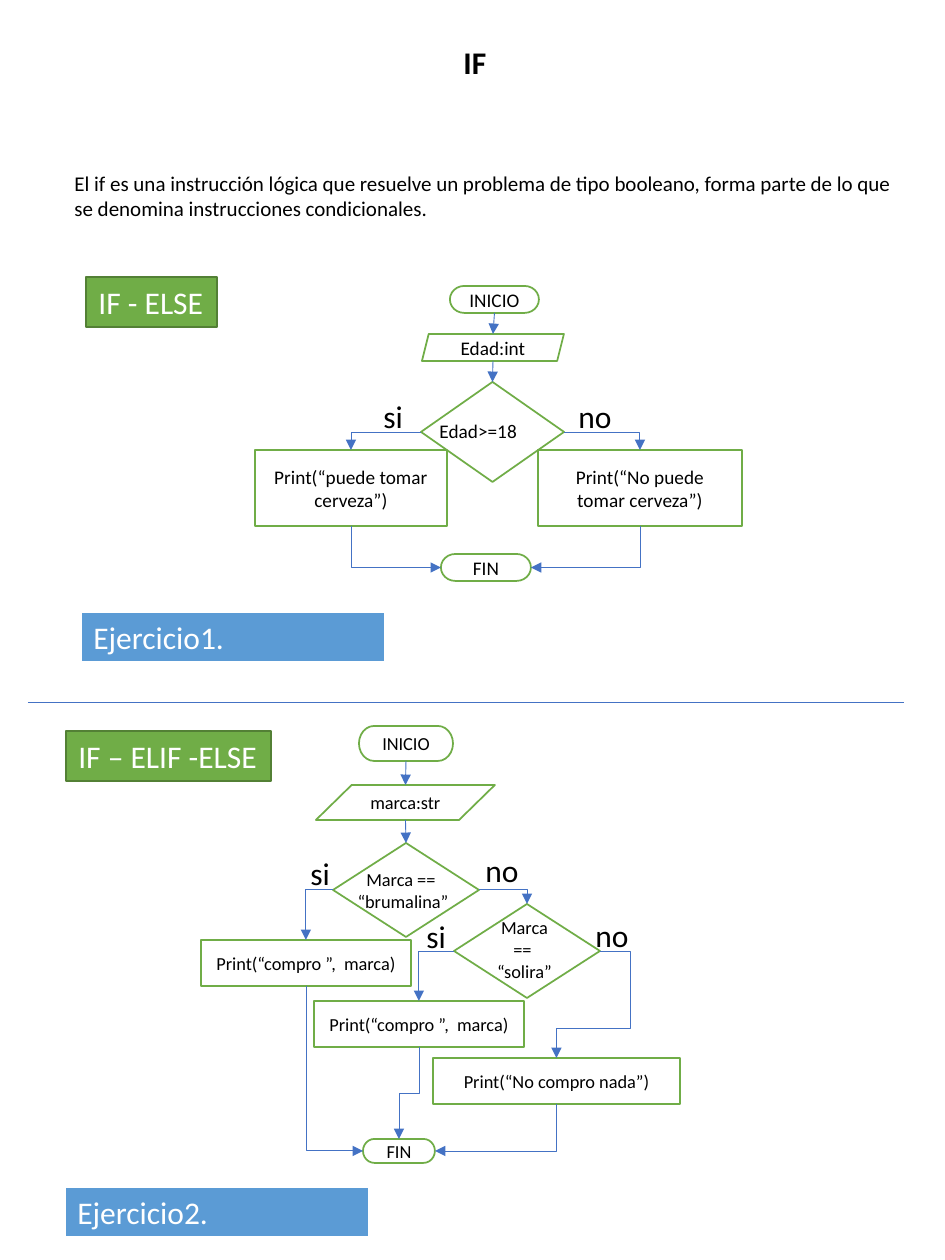
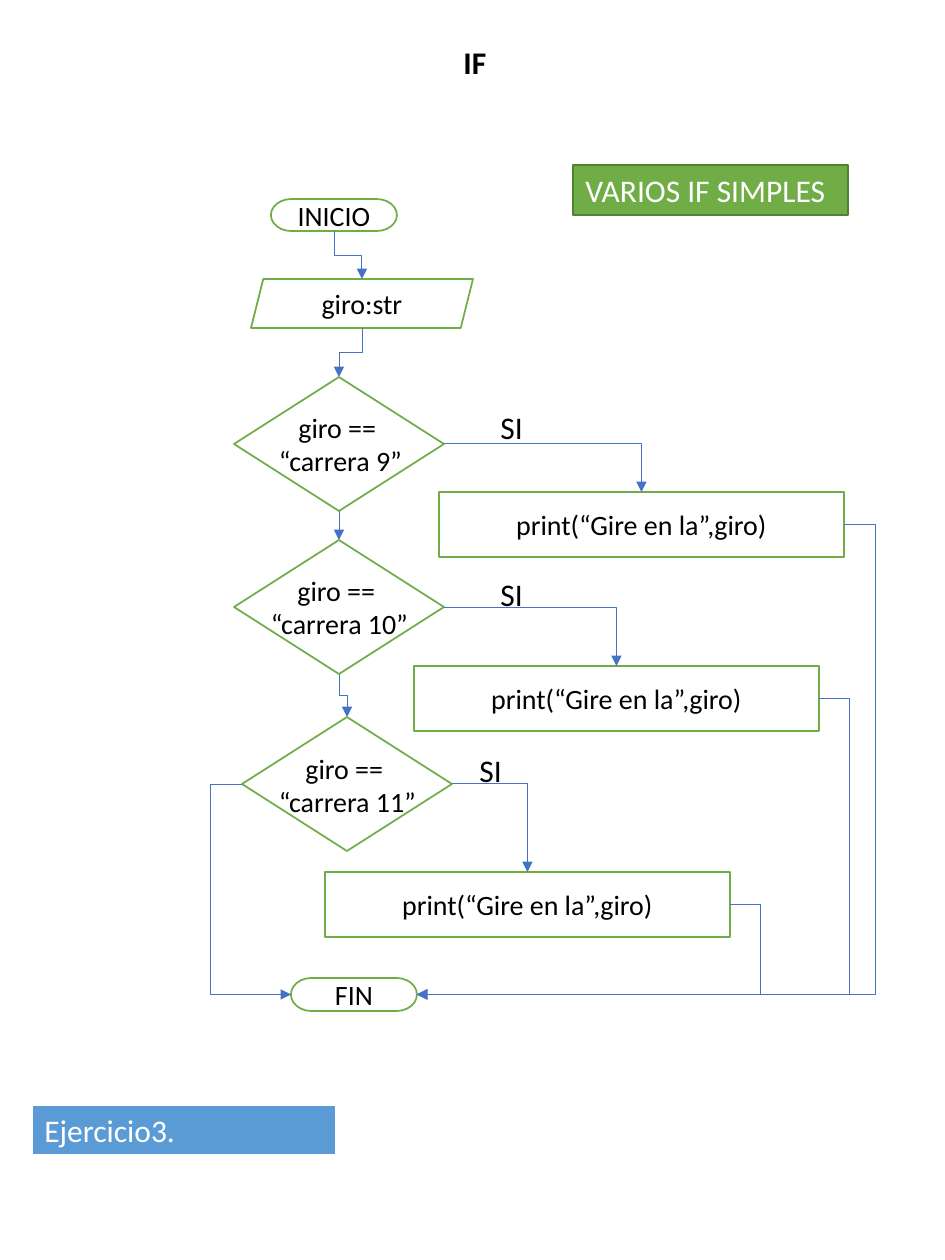
import pptx
import pptx.util
import pptx.dml.color
import pptx.enum.shapes
import pptx.enum.text
import pptx.oxml
import pptx.oxml.ns

SCALE = 914400 // 126
FONT = "Calibri"
COLORS = {"ink": "000000", "paper": "FFFFFF", "green": "70AD47",
          "moss": "538035", "sky": "5B9BD5", "wire": "4472C4"}
KINDS = pptx.enum.shapes.MSO_SHAPE
FORMS = {"term": KINDS.FLOWCHART_TERMINATOR, "slant": KINDS.PARALLELOGRAM,
         "data": KINDS.FLOWCHART_DATA, "test": KINDS.FLOWCHART_DECISION,
         "gem": KINDS.DIAMOND, "box": KINDS.RECTANGLE}
TITLE = ("IF", (451, 37, 82, 50))
LEAD = ("El if es una instrucción lógica que resuelve un problema de tipo "
        "booleano, forma parte de lo que se denomina instrucciones "
        "condicionales.")
BUY = "Print(“compro ”,  marca)"
TURN = "print(“Gire en la”,giro)"

# nodes: name -> (form, box, text)
# wires: (from, side, to, side[, reach past the side[, gap above the end]])
# notes: (text, box, size, centred, wrapped)
AGE = {
    "size": 11,
    "nodes": {
        "start": ("term", (450, 286, 89, 27), "INICIO"),
        "ask": ("slant", (422, 334, 142, 27), "Edad:int"),
        "test": ("test", (421, 382, 143, 100), ""),
        "yes": ("box", (255, 450, 192, 76), "Print(“puede tomar cerveza”)"),
        "no": ("box", (538, 450, 204, 76), "Print(“No puede tomar cerveza”)"),
        "end": ("term", (441, 554, 90, 27), "FIN"),
    },
    "wires": [
        ("start", "b", "ask", "t"), ("ask", "b", "test", "t"),
        ("test", "r", "no", "t"), ("test", "l", "yes", "t"),
        ("yes", "b", "end", "l"), ("no", "b", "end", "r"),
    ],
    "notes": [
        ("Edad>=18", (427, 413, 117, 36), 11, False, True),
        ("si", (371, 391, 55, 50), 18, False, True),
        ("no", (566, 391, 71, 50), 18, False, True),
    ],
}
BRAND = {
    "size": 10.5,
    "nodes": {
        "start": ("term", (359, 726, 94, 35), "INICIO"),
        "end": ("term", (363, 1139, 72, 24), "FIN"),
        "ask": ("data", (316, 785, 179, 35), "marca:str"),
        "first": ("test", (333, 843, 146, 94), ""),
        "next": ("test", (454, 904, 146, 94), ""),
        "none": ("box", (433, 1058, 247, 46), "Print(“No compro nada”)"),
        "buy2": ("box", (314, 1001, 210, 46), BUY),
        "buy1": ("box", (201, 940, 210, 46), BUY),
    },
    "wires": [
        ("start", "b", "ask", "t"), ("ask", "b", "first", "t"),
        ("first", "l", "buy1", "t"), ("first", "r", "next", "t"),
        ("next", "l", "buy2", "t"), ("next", "r", "none", "t", 31, 30),
        ("buy1", "b", "end", "l"), ("none", "b", "end", "r"),
        ("buy2", "b", "end", "t"),
    ],
    "notes": [
        ("Marca == \n“brumalina”", (343, 862, 120, 57), 10.5, True, True),
        ("Marca == \n“solira”", (481, 910, 87, 79), 10.5, True, True),
        ("si", (298, 848, 59, 50), 18, False, True),
        ("si", (414, 911, 59, 50), 18, False, True),
        ("no", (473, 845, 59, 50), 18, False, True),
        ("no", (583, 910, 59, 50), 18, False, True),
    ],
}
ROAD = {
    "size": 16,
    "nodes": {
        "start": ("term", (271, 199, 126, 32), "INICIO"),
        "ask": ("slant", (251, 279, 222, 49), "giro:str"),
        "nine": ("gem", (234, 377, 210, 134), ""),
        "ten": ("gem", (234, 540, 210, 134), ""),
        "last": ("gem", (242, 717, 210, 134), ""),
        "turn1": ("box", (439, 492, 405, 65), TURN),
        "turn2": ("box", (414, 666, 405, 65), TURN),
        "turn3": ("box", (325, 872, 405, 65), TURN),
        "end": ("term", (291, 978, 126, 33), "FIN"),
    },
    "wires": [
        ("start", "b", "ask", "t"), ("ask", "b", "nine", "t"),
        ("nine", "b", "ten", "t"), ("ten", "b", "last", "t"),
        ("nine", "r", "turn1", "t"), ("ten", "r", "turn2", "t"),
        ("last", "r", "turn3", "t"), ("turn1", "r", "end", "r", 31),
        ("turn2", "r", "end", "r", 31), ("turn3", "r", "end", "r", 31),
        ("last", "l", "end", "l", 31),
    ],
    "notes": [
        ("giro == \n“carrera 9”", (266, 404, 149, 78), 16, True, False),
        ("giro == \n“carrera 10”", (258, 567, 163, 78), 16, True, False),
        ("giro == \n“carrera 11”", (266, 745, 163, 78), 16, True, False),
        ("SI", (488, 402, 63, 50), 18, False, True),
        ("SI", (488, 569, 63, 50), 18, False, True),
        ("SI", (467, 745, 63, 50), 18, False, True),
    ],
}
PAGES = [
    {"lead": (LEAD, (62, 164, 842, 63)), "rule": [(28, 702), (904, 702)],
     "flows": [AGE, BRAND],
     "badges": [("IF - ELSE", (86, 277, 131, 50)),
                ("IF – ELIF -ELSE", (66, 731, 205, 50))],
     "tasks": [("Ejercicio1.", (81, 612)), ("Ejercicio2.", (65, 1187))]},
    {"flows": [ROAD],
     "badges": [("VARIOS IF SIMPLES", (573, 165, 275, 50))],
     "tasks": [("Ejercicio3.", (32, 1105))]},
]


def px(*vals):
    """Turn pixels into EMU."""
    return [round(v * SCALE) for v in vals]


def rgb(name):
    """Look up a colour."""
    return pptx.dml.color.RGBColor.from_string(COLORS[name])


def write(shape, text, size, color="ink", bold=False, mid=False, wrap=True,
          grow=True):
    """Fill a shape with text, one paragraph a line."""
    frame = shape.text_frame
    frame.text = text
    frame.word_wrap = wrap
    anchor = pptx.enum.text.MSO_ANCHOR
    frame.vertical_anchor = anchor.TOP if grow else anchor.MIDDLE
    if grow:
        frame.auto_size = pptx.enum.text.MSO_AUTO_SIZE.SHAPE_TO_FIT_TEXT
    align = pptx.enum.text.PP_ALIGN
    for para in frame.paragraphs:
        para.alignment = align.CENTER if mid else align.LEFT
        font = para.font
        font.name, font.size, font.bold = FONT, pptx.util.Pt(size), bold
        font.color.rgb = rgb(color)


def label(slide, text, box, size, **look):
    """Add a plain text box."""
    write(slide.shapes.add_textbox(*px(*box)), text, size, **look)


def block(slide, form, box, fill, edge, width=1):
    """Add a filled, outlined shape."""
    shape = slide.shapes.add_shape(FORMS[form], *px(*box))
    shape.shadow.inherit = False
    shape.fill.solid()
    shape.fill.fore_color.rgb = rgb(fill)
    shape.line.color.rgb = rgb(edge)
    shape.line.width = pptx.util.Pt(width)
    return shape


def port(box, side):
    """Find the middle of one side of a box."""
    x, y, w, h = box
    return {"l": (x, y + h / 2), "r": (x + w, y + h / 2),
            "t": (x + w / 2, y), "b": (x + w / 2, y + h)}[side]


def route(a, out, b, into, reach=0, gap=0):
    """List the corners of a wire that leaves and enters by given sides."""
    (ax, ay), (bx, by) = a, b
    if out == "b" and into == "t":
        if abs(ax - bx) < 4:
            return [a, b]
        mid = (ay + by) / 2
        return [a, (ax, mid), (bx, mid), b]
    if out == "b":
        return [a, (ax, by), b]
    if not reach:
        return [a, (bx, ay), b]
    far = ax + reach if out == "r" else ax - reach
    if into == "t":
        return [a, (far, ay), (far, by - gap), (bx, by - gap), b]
    return [a, (far, ay), (far, by), b]


def wire(slide, pts, arrow=True):
    """Draw a straight or bent connector through the corners."""
    (ax, ay), (bx, by) = pts[0], pts[-1]
    dx, dy = bx - ax, by - ay
    bent = len(pts) > 2
    down = bent and pts[1][0] == ax
    ends = (ax, ay, bx, by)
    if down:  # a route that starts downwards is a turned sideways one
        cx, cy, s = (ax + bx) / 2, (ay + by) / 2, 1 if dx > 0 else -1
        ends = (cx + s * dy / 2, cy - s * dx / 2,
                cx - s * dy / 2, cy + s * dx / 2)
    kind = pptx.enum.shapes.MSO_CONNECTOR
    line = slide.shapes.add_connector(
        kind.ELBOW if bent else kind.STRAIGHT, *px(*ends))
    line.line.color.rgb = rgb("wire")
    line.line.width = pptx.util.Pt(0.5)
    qn, add = pptx.oxml.ns.qn, pptx.oxml.parse_xml
    ns = pptx.oxml.ns.nsdecls("a")
    props = line._element.spPr
    if down:
        turn = 270 if dx > 0 else 90
        props.find(qn("a:xfrm")).set("rot", str(turn * 60000))
    if bent:
        geom = props.find(qn("a:prstGeom"))
        geom.set("prst", f"bentConnector{len(pts) - 1}")
        guides = geom.find(qn("a:avLst"))
        if guides is None:
            guides = add(f"<a:avLst {ns}/>")
            geom.append(guides)
        for i, (x, y) in enumerate(pts[1:-2], 1):
            flat = (i % 2 == 1) != down
            part = (x - ax) / dx if flat else (y - ay) / dy
            # each guide is the share of the span at which the wire turns
            guides.append(add(f'<a:gd {ns} name="adj{i}" '
                              f'fmla="val {round(part * 100000)}"/>'))
    if arrow:
        props.find(qn("a:ln")).append(add(f'<a:tailEnd {ns} type="triangle"/>'))
    props.append(add(f"<a:effectLst {ns}/>"))


def chart(slide, flow):
    """Draw one flow chart: nodes, wires, then notes."""
    nodes = flow["nodes"]
    for form, box, text in nodes.values():
        shape = block(slide, form, box, "paper", "green")
        if text:
            write(shape, text, flow["size"], mid=True, grow=False)
    for start, out, end, into, *extra in flow["wires"]:
        a, b = port(nodes[start][1], out), port(nodes[end][1], into)
        wire(slide, route(a, out, b, into, *extra))
    for text, box, size, mid, wrap in flow["notes"]:
        label(slide, text, box, size, mid=mid, wrap=wrap)


def page(deck, data):
    """Build one slide."""
    slide = deck.slides.add_slide(deck.slide_layouts[6])
    label(slide, *TITLE, 18, bold=True)
    if "lead" in data:
        label(slide, *data["lead"], 12)
    if "rule" in data:
        wire(slide, data["rule"], arrow=False)
    for flow in data["flows"]:
        chart(slide, flow)
    for text, box in data["badges"]:
        write(block(slide, "box", box, "green", "moss"), text, 18, "paper",
              wrap=False)
    for text, spot in data["tasks"]:
        write(block(slide, "box", (*spot, 304, 50), "sky", "paper", 1.5),
              text, 18, "paper")


deck = pptx.Presentation()
deck.slide_width, deck.slide_height = px(945, 1260)
for data in PAGES:
    page(deck, data)
deck.save("out.pptx")
